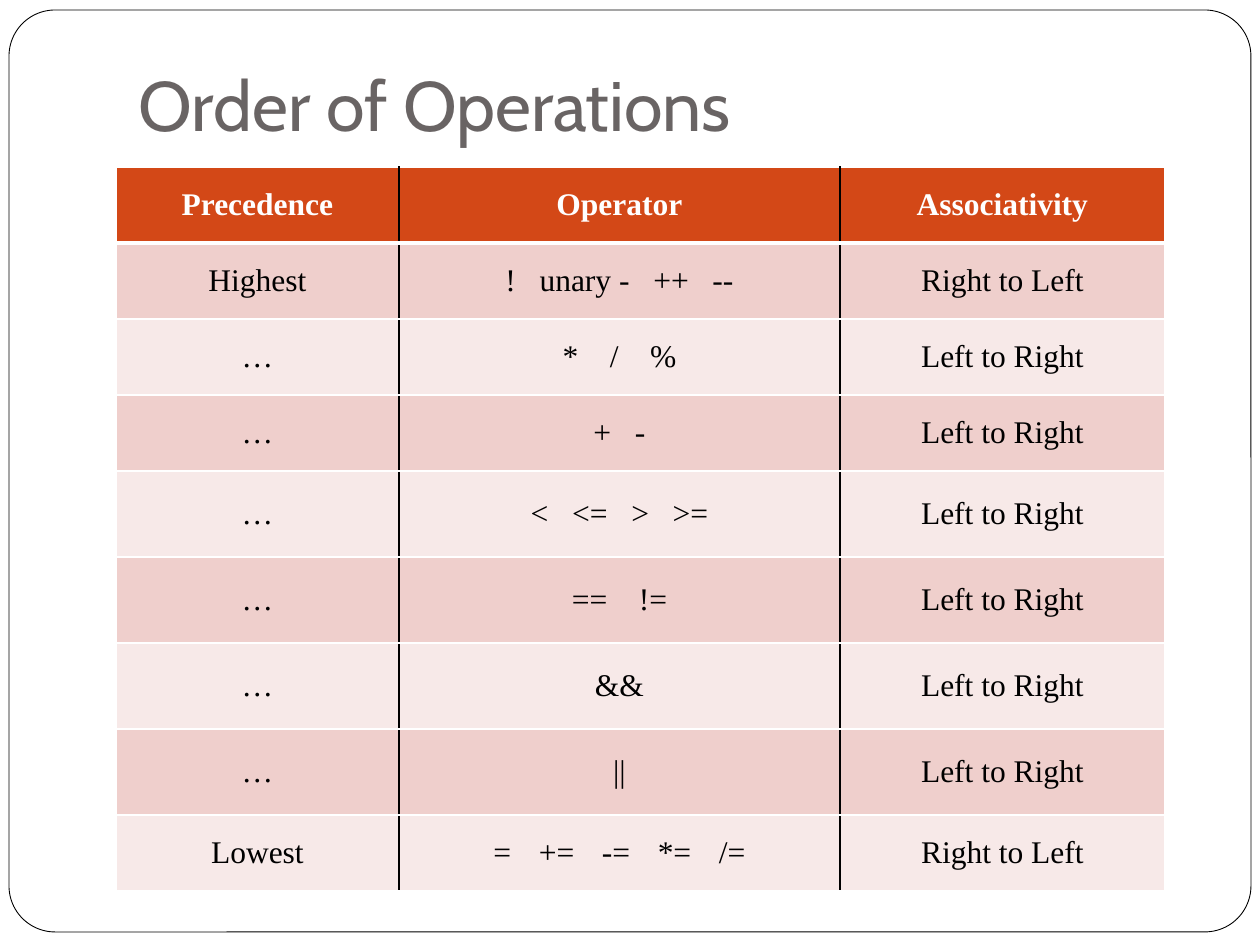
from typing import NamedTuple

from lxml import etree
from pptx import Presentation
from pptx.dml.color import RGBColor
from pptx.enum.shapes import MSO_SHAPE
from pptx.enum.text import MSO_ANCHOR, MSO_AUTO_SIZE, PP_ALIGN
from pptx.oxml.ns import qn
from pptx.util import Inches, Pt

ROUNDED = MSO_SHAPE.ROUNDED_RECTANGLE
MIDDLE, BOTTOM = MSO_ANCHOR.MIDDLE, MSO_ANCHOR.BOTTOM
LEFT, CENTER = PP_ALIGN.LEFT, PP_ALIGN.CENTER
NO_FIT = MSO_AUTO_SIZE.NONE

PX_PER_INCH = 126
COLORS = {
    "white": "FFFFFF", "black": "000000", "title": "696464",
    "header": "D34817", "odd": "EFCFCC", "even": "F7E9E8",
}
COL_WIDTHS = (283, 441, 325)
TABLE_FONT = "Times New Roman"


class Row(NamedTuple):
    precedence: str
    operators: tuple[str, ...]
    associativity: str
    height: int = 76
    gap: float = 9  # points added to the space between operators


ROWS = (
    Row("Precedence", ("Operator",), "Associativity"),
    Row("Highest", ("!", "unary -", "++", "--"), "Right to Left"),
    Row("…", ("*", "/", "%"), "Left to Right", gap=13.5),
    Row("…", ("+", "-"), "Left to Right"),
    Row("…", ("<", "<=", ">", ">="), "Left to Right", 86),
    Row("…", ("==", "!="), "Left to Right", 86, 13.5),
    Row("…", ("&&",), "Left to Right", 86),
    Row("…", ("||",), "Left to Right", 86),
    Row("Lowest", ("=", "+=", "-=", "*=", "/="), "Right to Left", gap=11.25),
)


def px(n: float) -> int:
    return Inches(n / PX_PER_INCH)


def rgb(name: str) -> RGBColor:
    return RGBColor.from_string(COLORS[name])


def set_font(p, name: str, size: float, color: str, bold: bool = False) -> None:
    p.font.name, p.font.size, p.font.bold = name, Pt(size), bold
    p.font.color.rgb = rgb(color)


def set_borders(cell, row: int, col: int) -> None:
    """Black lines between columns, white elsewhere, thick under the header."""
    last_col = len(COL_WIDTHS) - 1
    sides = (
        ("lnL", "black" if col > 0 else "white", 1),
        ("lnR", "black" if col < last_col else "white", 1),
        ("lnT", "white", 3 if row == 1 else 1),
        ("lnB", "white", 3 if row == 0 else 1),
    )
    tcPr = cell._tc.get_or_add_tcPr()
    for i, (tag, color, width) in enumerate(sides):
        ln = etree.Element(qn(f"a:{tag}"), w=str(Pt(width)))
        fill = etree.SubElement(ln, qn("a:solidFill"))
        etree.SubElement(fill, qn("a:srgbClr"), val=COLORS[color])
        tcPr.insert(i, ln)


def fill_cell(cell, row: int, col: int, words: tuple[str, ...], gap: float) -> None:
    header = row == 0
    cell.vertical_anchor = MIDDLE
    cell.fill.solid()
    cell.fill.fore_color.rgb = rgb("header" if header else "odd" if row % 2 else "even")
    set_borders(cell, row, col)
    p = cell.text_frame.paragraphs[0]
    p.alignment = CENTER
    set_font(p, TABLE_FONT, 18, "white" if header else "black", header)
    for i, word in enumerate(words):
        if i:
            r = p.add_run()
            r.text = " "
            r.font._element.set("spc", str(round(gap * 100)))
        p.add_run().text = word


prs = Presentation()
prs.slide_width, prs.slide_height = Inches(10), Inches(7.5)
s = prs.slides.add_slide(prs.slide_layouts[5])

# Frame, behind the title
frame = s.shapes.add_shape(ROUNDED, px(9), px(10), px(1242), px(922))
frame.adjustments[0] = 0.05
frame.shadow.inherit = False
frame.fill.solid()
frame.fill.fore_color.rgb = rgb("white")
frame.line.color.rgb = rgb("black")
frame.line.width = Pt(0.5)
s.shapes._spTree.insert(2, frame._element)

# Title
title = s.shapes.title
title.left, title.top, title.width, title.height = px(126), 0, px(1071), px(158)
tf = title.text_frame
tf.text = "Order of Operations"
tf.word_wrap, tf.auto_size, tf.vertical_anchor = True, NO_FIT, BOTTOM
tf.margin_bottom = Inches(0.1)
p = tf.paragraphs[0]
p.alignment = LEFT
set_font(p, "Cabin", 40, "title")

# Precedence table
table = s.shapes.add_table(
    len(ROWS), len(COL_WIDTHS), px(116), px(167),
    px(sum(COL_WIDTHS)), px(sum(row.height for row in ROWS)),
).table
for column, width in zip(table.columns, COL_WIDTHS):
    column.width = px(width)
for i, row in enumerate(ROWS):
    table.rows[i].height = px(row.height)
    for j, words in enumerate(((row.precedence,), row.operators, (row.associativity,))):
        fill_cell(table.cell(i, j), i, j, words, row.gap)

prs.save("out.pptx")
